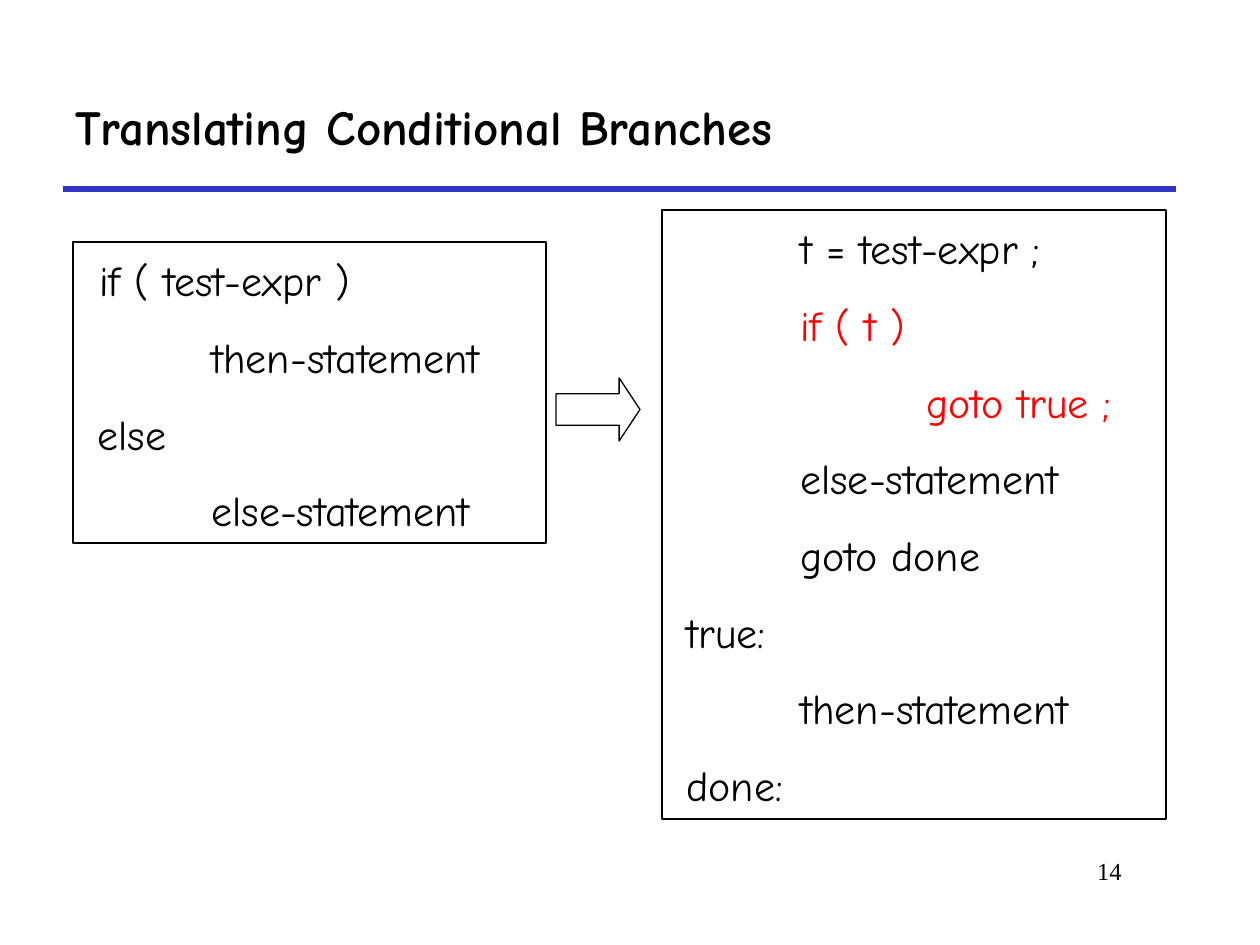
from dataclasses import dataclass

import pptx
import pptx.dml.color
import pptx.enum.shapes
import pptx.enum.text
import pptx.util
from lxml import etree
from pptx.oxml.ns import qn

EMU_PER_PX = 914400 / 126
BLACK = pptx.dml.color.RGBColor(0x00, 0x00, 0x00)
RED = pptx.dml.color.RGBColor(0xFF, 0x00, 0x00)
BLUE = pptx.dml.color.RGBColor(0x33, 0x33, 0xCC)
BODY_FONT = "Comic Neue"
NUMBER_FONT = "Times New Roman"

# Indents of the code lines, in px
LABEL = 12
STEP = 126

Align = pptx.enum.text.PP_ALIGN
Anchor = pptx.enum.text.MSO_ANCHOR
Preset = pptx.enum.shapes.MSO_SHAPE


def px(length: int) -> pptx.util.Emu:
    return pptx.util.Emu(round(length * EMU_PER_PX))


@dataclass(frozen=True)
class Area:
    left: int
    top: int
    width: int
    height: int

    def emu(self) -> list:
        return [px(n) for n in (self.left, self.top, self.width, self.height)]


@dataclass(frozen=True)
class CodeLine:
    text: str
    indent: int
    color: pptx.dml.color.RGBColor = BLACK


@dataclass(frozen=True)
class CodeBox:
    area: Area
    lines: tuple


@dataclass(frozen=True)
class Label:
    text: str
    area: Area
    align: Align
    anchor: Anchor
    font: dict


def set_attributes(target, values: dict) -> None:
    for name, value in values.items():
        setattr(target, name, value)


def set_font(font, color, values: dict) -> None:
    set_attributes(font, values)
    font.color.rgb = color


def add_outline(slide, preset: Preset, area: Area):
    shape = slide.shapes.add_shape(preset, *area.emu())
    shape.shadow.inherit = False
    shape.fill.background()
    shape.line.color.rgb = BLACK
    shape.line.width = pptx.util.Pt(0.75)
    return shape


def add_code_box(slide, box: CodeBox) -> None:
    frame = add_outline(slide, Preset.RECTANGLE, box.area).text_frame
    set_attributes(frame, {"word_wrap": True, "vertical_anchor": Anchor.TOP,
                           "margin_top": px(13)})
    for index, line in enumerate(box.lines):
        paragraph = frame.add_paragraph() if index else frame.paragraphs[0]
        paragraph.alignment = Align.LEFT
        if index:
            paragraph.space_before = pptx.util.Pt(15)
        properties = paragraph._p.get_or_add_pPr()
        properties.set("marL", str(px(line.indent)))
        properties.set("indent", "0")
        run = paragraph.add_run()
        run.text = line.text
        set_font(run.font, line.color,
                 {"name": BODY_FONT, "size": pptx.util.Pt(24)})


def add_label(slide, label: Label) -> None:
    frame = slide.shapes.add_textbox(*label.area.emu()).text_frame
    set_attributes(frame, {"word_wrap": True, "vertical_anchor": label.anchor})
    paragraph = frame.paragraphs[0]
    paragraph.alignment = label.align
    run = paragraph.add_run()
    run.text = label.text
    set_font(run.font, BLACK, label.font)


def add_rule(slide, left: int, right: int, y: int) -> None:
    rule = slide.shapes.add_connector(
        pptx.enum.shapes.MSO_CONNECTOR.STRAIGHT, px(left), px(y), px(right), px(y))
    rule.line.color.rgb = BLUE
    rule.line.width = pptx.util.Pt(3)
    etree.SubElement(rule._element.spPr, qn("a:effectLst"))


LABELS = (
    Label("14", Area(955, 850, 179, 63), Align.RIGHT, Anchor.TOP,
          {"name": NUMBER_FONT, "size": pptx.util.Pt(14)}),
    Label("Translating Conditional Branches", Area(63, 63, 1113, 126),
          Align.LEFT, Anchor.MIDDLE,
          {"name": BODY_FONT, "size": pptx.util.Pt(28), "bold": True}),
)

CODE_BOXES = (
    CodeBox(Area(73, 242, 473, 301), (
        CodeLine("if ( test-expr )", LABEL + 2),
        CodeLine("then-statement", STEP),
        CodeLine("else", LABEL),
        CodeLine("else-statement", STEP),
    )),
    CodeBox(Area(662, 210, 504, 609), (
        CodeLine("t = test-expr ;", STEP),
        CodeLine("if ( t )", STEP, RED),
        CodeLine("goto true ;", 2 * STEP, RED),
        CodeLine("else-statement", STEP),
        CodeLine("goto done", STEP),
        CodeLine("true:", LABEL),
        CodeLine("then-statement", STEP),
        CodeLine("done:", LABEL),
    )),
)


def main() -> None:
    presentation = pptx.Presentation()
    presentation.slide_width = px(1260)
    presentation.slide_height = px(945)
    slide = presentation.slides.add_slide(presentation.slide_layouts[6])

    # Title, rule and page number
    add_rule(slide, 63, 1176, 189)
    for label in LABELS:
        add_label(slide, label)

    # Source code and its translation
    for box in CODE_BOXES:
        add_code_box(slide, box)

    # Arrow between the two
    arrow = add_outline(slide, Preset.RIGHT_ARROW, Area(556, 378, 84, 63))
    arrow.adjustments[0] = 0.5
    arrow.adjustments[1] = 0.33

    presentation.save("out.pptx")


if __name__ == "__main__":
    main()
